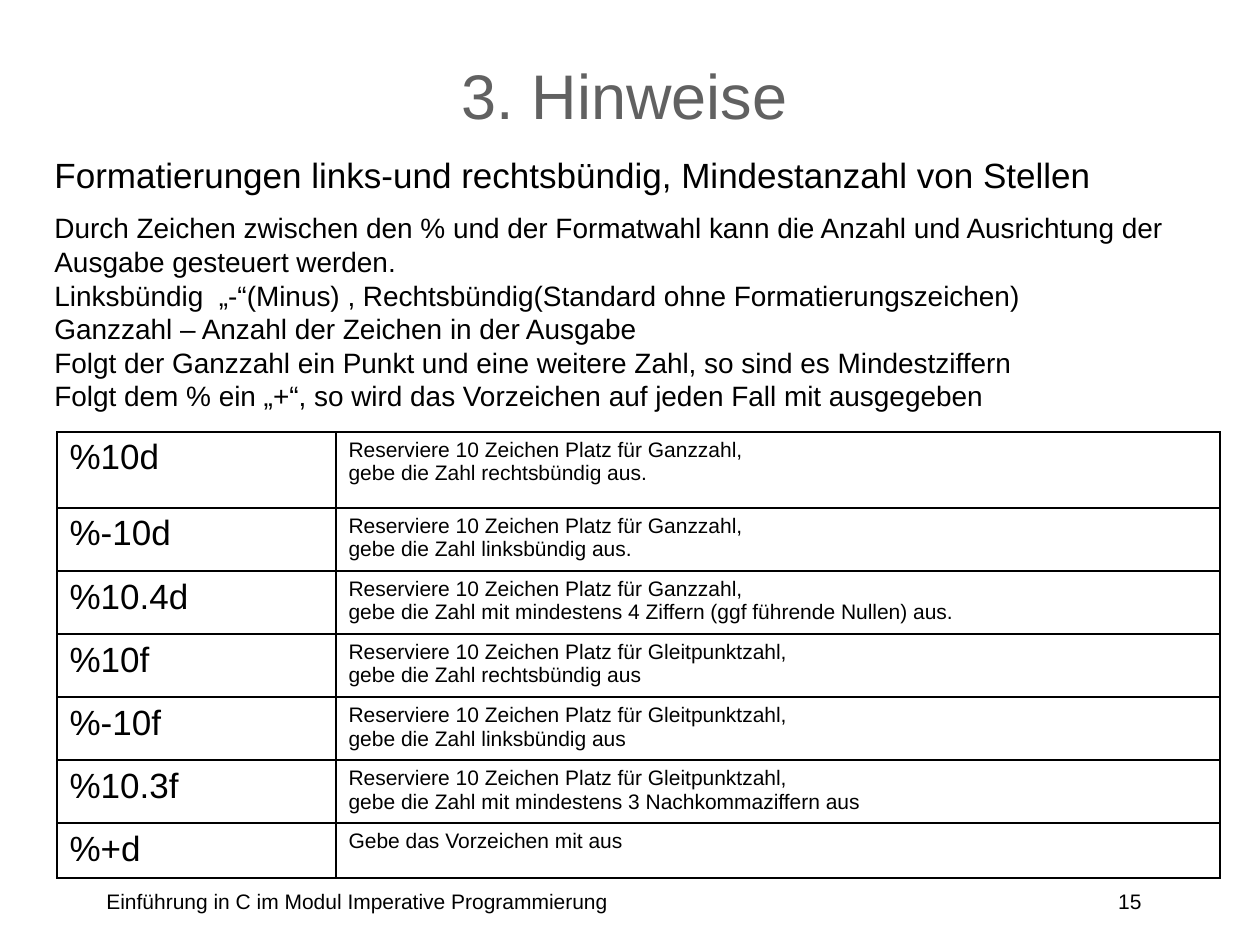
"""Builds the slide on printf format specifiers with its reference table."""
from lxml import etree
from pptx import Presentation
from pptx.dml.color import RGBColor
from pptx.enum.text import MSO_ANCHOR, PP_ALIGN
from pptx.oxml.ns import qn
from pptx.util import Pt

LEFT, CENTER, RIGHT = PP_ALIGN.LEFT, PP_ALIGN.CENTER, PP_ALIGN.RIGHT
TOP, MIDDLE = MSO_ANCHOR.TOP, MSO_ANCHOR.MIDDLE
BLACK = RGBColor(0x00, 0x00, 0x00)
GRAY = RGBColor(0x61, 0x61, 0x61)
PX = 914400 // 126

FORMATS = [
    ("%10d", "Reserviere 10 Zeichen Platz für Ganzzahl,\ngebe die Zahl rechtsbündig aus."),
    ("%-10d", "Reserviere 10 Zeichen Platz für Ganzzahl,\ngebe die Zahl linksbündig aus."),
    ("%10.4d", "Reserviere 10 Zeichen Platz für Ganzzahl,\n"
               "gebe die Zahl mit mindestens 4 Ziffern (ggf führende Nullen) aus."),
    ("%10f", "Reserviere 10 Zeichen Platz für Gleitpunktzahl,\ngebe die Zahl rechtsbündig aus"),
    ("%-10f", "Reserviere 10 Zeichen Platz für Gleitpunktzahl,\ngebe die Zahl linksbündig aus"),
    ("%10.3f", "Reserviere 10 Zeichen Platz für Gleitpunktzahl,\n"
               "gebe die Zahl mit mindestens 3 Nachkommaziffern aus"),
    ("%+d", "Gebe das Vorzeichen mit aus"),
]
ROW_HEIGHTS = [76, 63, 63, 63, 63, 63, 55]
COLUMN_WIDTHS = [279, 884]
EXPLANATION = "\n".join([
    "Formatierungen links-und rechtsbündig, Mindestanzahl von Stellen",
    "Durch Zeichen zwischen den % und der Formatwahl kann die Anzahl und Ausrichtung der "
    "Ausgabe gesteuert werden.",
    "Linksbündig  „-“(Minus) , Rechtsbündig(Standard ohne Formatierungszeichen)",
    "Ganzzahl – Anzahl der Zeichen in der Ausgabe",
    "Folgt der Ganzzahl ein Punkt und eine weitere Zahl, so sind es Mindestziffern",
    "Folgt dem % ein „+“, so wird das Vorzeichen auf jeden Fall mit ausgegeben",
])


def write(frame, text, size, color=BLACK, align=LEFT):
    frame.text = text
    frame.word_wrap = True
    for paragraph in frame.paragraphs:
        paragraph.alignment = align
        for run in paragraph.runs:
            run.font.name = "Arial"
            run.font.size = Pt(size)
            run.font.color.rgb = color


def add_text(box, text, size, color=BLACK, align=LEFT, anchor=TOP):
    frame = slide.shapes.add_textbox(*(length * PX for length in box)).text_frame
    write(frame, text, size, color, align)
    frame.vertical_anchor = anchor
    return frame


presentation = Presentation()
presentation.slide_width = 1260 * PX
presentation.slide_height = 945 * PX
slide = presentation.slides.add_slide(presentation.slide_layouts[6])

add_text((94, 882, 735, 42), "Einführung in C im Modul Imperative Programmierung", 12)
add_text((892, 882, 262, 42), "15", 12, align=RIGHT)
add_text((84, 21, 1081, 147), "3. Hinweise", 36, GRAY, CENTER, MIDDLE)

explanation = add_text((42, 147, 1193, 310), EXPLANATION, 16)
heading = explanation.paragraphs[0]
heading.runs[0].font.size = Pt(20)
heading.space_after = Pt(9)

format_table = slide.shapes.add_table(
    len(FORMATS), len(COLUMN_WIDTHS), 57 * PX, 432 * PX,
    sum(COLUMN_WIDTHS) * PX, sum(ROW_HEIGHTS) * PX).table
format_table.first_row = False
format_table.horz_banding = False
for column, width in zip(format_table.columns, COLUMN_WIDTHS):
    column.width = width * PX
for row, height, entry in zip(format_table.rows, ROW_HEIGHTS, FORMATS):
    row.height = height * PX
    for cell, text, size in zip(row.cells, entry, (20, 12)):
        write(cell.text_frame, text, size)
        properties = cell._tc.get_or_add_tcPr()
        for side in ("a:lnL", "a:lnR", "a:lnT", "a:lnB"):
            border = etree.SubElement(properties, qn(side), w=str(Pt(1)))
            border_fill = etree.SubElement(border, qn("a:solidFill"))
            etree.SubElement(border_fill, qn("a:srgbClr"), val=str(BLACK))
        cell.fill.background()

presentation.save("out.pptx")
